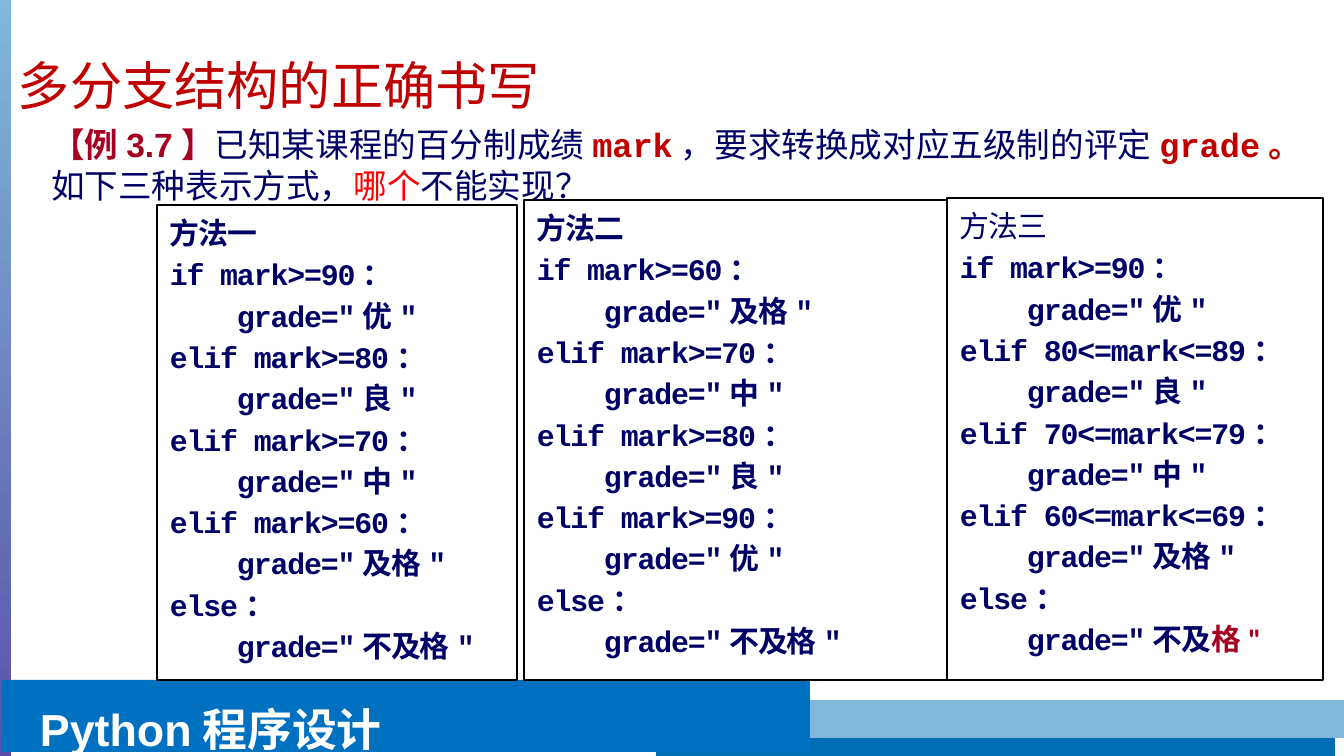
from dataclasses import dataclass

from lxml.etree import SubElement
from pptx import Presentation
from pptx.dml.color import RGBColor
from pptx.enum.shapes import MSO_CONNECTOR, MSO_SHAPE
from pptx.enum.text import MSO_ANCHOR
from pptx.oxml.ns import qn
from pptx.util import Emu, Pt


@dataclass(frozen=True)
class Theme:
    navy: str = "000066"
    red: str = "C00000"
    crimson: str = "A50021"
    bright_red: str = "FF0000"
    black: str = "000000"
    white: str = "FFFFFF"
    footer: str = "0070C0"
    deep_blue: str = "006EB2"
    light_blue: str = "7FB8DA"
    purple: str = "4E2E96"
    sans: str = "Arial"
    mono: str = "Courier New"
    accent: str = "Calibri"
    chinese: str = "Noto Sans CJK JP"
    title_size: int = 28
    footer_size: int = 24
    intro_size: int = 18
    code_size: int = 16


THEME = Theme()
EMU_PER_PX = 914400 / 134.4

TITLE = "多分支结构的正确书写"
FOOTER = "Python程序设计"
# Each run: text, colour, bold, font
INTRO = [
    [
        ("【例3.7】", THEME.crimson, True, THEME.sans),
        ("已知某课程的百分制成绩", THEME.navy, False, THEME.mono),
        ("mark", THEME.red, True, THEME.mono),
        ("，要求转换成对应五级制的评定", THEME.navy, False, THEME.mono),
        ("grade。", THEME.red, True, THEME.mono),
    ],
    [
        ("如下三种表示方式，", THEME.navy, False, THEME.mono),
        ("哪个", THEME.bright_red, False, THEME.mono),
        ("不能实现？", THEME.navy, False, THEME.mono),
    ],
]
LAST_GRADE = "不及格"
# Each method: heading, heading bold, box, (condition, grade) branches, highlighted ending
METHODS = [
    ("方法二", True, (524, 200, 423, 480),
     [("mark>=60", "及格"), ("mark>=70", "中"), ("mark>=80", "良"), ("mark>=90", "优")], ""),
    ("方法三", False, (947, 198, 376, 482),
     [("mark>=90", "优"), ("80<=mark<=89", "良"), ("70<=mark<=79", "中"),
      ("60<=mark<=69", "及格")], "格\""),
    ("方法一", True, (157, 205, 360, 475),
     [("mark>=90", "优"), ("mark>=80", "良"), ("mark>=70", "中"), ("mark>=60", "及格")], ""),
]
# Each bar: left, right, centre height, colour, width in points
BARS = [(656, 1335, 745, THEME.deep_blue, 16), (637, 1347, 719, THEME.light_blue, 20)]


def px(value):
    return Emu(round(value * EMU_PER_PX))


def colour(value):
    return RGBColor.from_string(value)


def add_box(slide, box, fill, line=None):
    shape = slide.shapes.add_shape(MSO_SHAPE.RECTANGLE, *map(px, box))
    shape.shadow.inherit = False
    shape.fill.solid()
    shape.fill.fore_color.rgb = colour(fill)
    if line:
        shape.line.color.rgb = colour(line)
        shape.line.width = Pt(0.75)
    else:
        shape.line.fill.background()
    return shape


def add_bar(slide, left, right, middle, line_colour, width):
    bar = slide.shapes.add_connector(
        MSO_CONNECTOR.STRAIGHT, px(left), px(middle), px(right), px(middle))
    bar.line.color.rgb = colour(line_colour)
    bar.line.width = Pt(width)
    SubElement(bar.element.spPr, qn("a:effectLst"))


def write(shape, paragraphs, size, leading, left=13, top=7, bottom=7,
          anchor=MSO_ANCHOR.TOP, gap=0, tracking=0, indent=0):
    """Fill a shape with paragraphs of (text, colour, bold, font) runs."""
    frame = shape.text_frame
    frame.word_wrap = True
    frame.vertical_anchor = anchor
    frame.margin_left, frame.margin_right = px(left), px(13)
    frame.margin_top, frame.margin_bottom = px(top), px(bottom)
    for index, runs in enumerate(paragraphs):
        paragraph = frame.paragraphs[0] if index == 0 else frame.add_paragraph()
        properties = paragraph._p.get_or_add_pPr()
        properties.set("algn", "l")
        properties.set("marL", str(px(indent)))
        paragraph.line_spacing = Pt(leading)
        paragraph.space_before = Pt(gap if index else 0)
        for text, run_colour, bold, font in runs:
            run = paragraph.add_run()
            run.text = text
            run.font.size = Pt(size)
            run.font.bold = bold
            run.font.name = font
            run.font.color.rgb = colour(run_colour)
            run_properties = run.font._element
            SubElement(run_properties, qn("a:ea")).set("typeface", THEME.chinese)
            if tracking and font == THEME.mono:
                run_properties.set("spc", str(round(tracking * 100)))


def code_paragraphs(heading, heading_bold, branches, highlight):
    lines = []
    for index, (condition, grade) in enumerate(branches):
        lines += [f"{'elif' if index else 'if'} {condition}：", f"    grade=\"{grade}\""]
    lines += ["else：", f"    grade=\"{LAST_GRADE}\"".removesuffix(highlight)]
    paragraphs = [[(heading, THEME.navy, heading_bold, THEME.mono)]]
    paragraphs += [[(line, THEME.navy, True, THEME.mono)] for line in lines]
    if highlight:
        paragraphs[-1].append((highlight, THEME.crimson, True, THEME.accent))
    return paragraphs


def main():
    presentation = Presentation()
    presentation.slide_width, presentation.slide_height = px(1344), px(756)
    slide = presentation.slides.add_slide(presentation.slide_layouts[6])

    stripe = add_box(slide, (-3, 0, 14, 1001), THEME.light_blue)
    stripe.fill.gradient()
    stripe.fill.gradient_angle = 270
    for stop, stop_colour in zip(stripe.fill.gradient_stops, (THEME.light_blue, THEME.purple)):
        stop.color.rgb = colour(stop_colour)

    for bar in BARS:
        add_bar(slide, *bar)
    footer = add_box(slide, (2, 680, 808, 72), THEME.footer)
    write(footer, [[(FOOTER, THEME.white, True, THEME.sans)]],
          THEME.footer_size, leading=28, left=38, top=23, bottom=0)

    intro = slide.shapes.add_textbox(px(30), px(113), px(1314), px(95))
    write(intro, INTRO, THEME.intro_size, leading=22, top=10, indent=8)
    title = slide.shapes.add_textbox(px(5), px(39), px(964), px(78))
    write(title, [[(TITLE, THEME.red, False, THEME.mono)]],
          THEME.title_size, leading=32, bottom=1, anchor=MSO_ANCHOR.BOTTOM)

    for heading, heading_bold, box, branches, highlight in METHODS:
        panel = add_box(slide, box, THEME.white, THEME.black)
        write(panel, code_paragraphs(heading, heading_bold, branches, highlight),
              THEME.code_size, leading=19.1, top=10, gap=3, tracking=-0.6)

    presentation.save("out.pptx")


if __name__ == "__main__":
    main()
